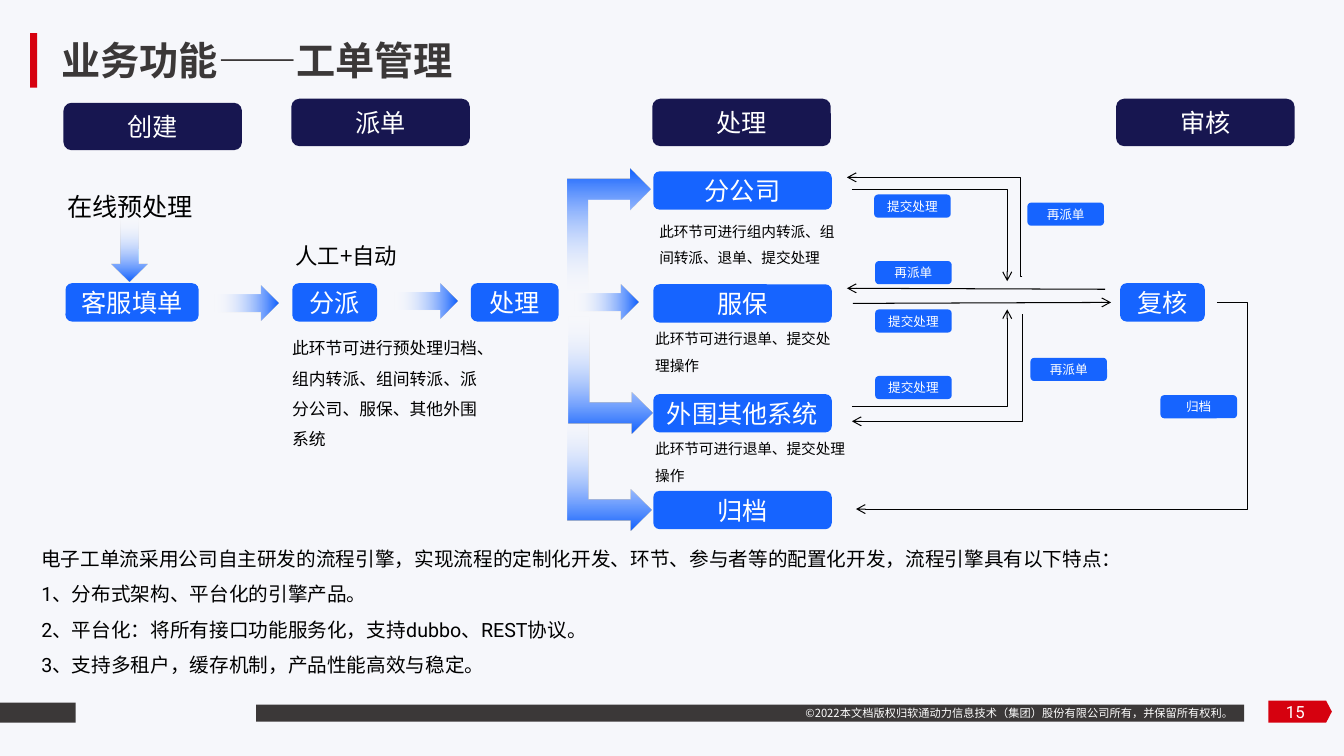
from lxml import etree
from pptx import Presentation
from pptx.dml.color import RGBColor
from pptx.enum.shapes import MSO_CONNECTOR, MSO_SHAPE
from pptx.enum.text import MSO_ANCHOR, PP_ALIGN
from pptx.oxml.ns import qn
from pptx.util import Pt

PX = 9144  # 100 px to the inch
CJK, LATIN = "Noto Sans CJK SC", "Roboto"
WHITE = RGBColor(0xFF, 0xFF, 0xFF)
BLACK = RGBColor(0, 0, 0)
PAPER = RGBColor(0xF6, 0xF7, 0xFB)
CHARCOAL = RGBColor(0x3B, 0x38, 0x38)
RED = RGBColor(0xD6, 0x01, 0x0F)
BLUE = RGBColor(0x16, 0x64, 0xFF)
NAVY = RGBColor(0x17, 0x16, 0x50)
LEFT, CENTER, RIGHT = PP_ALIGN.LEFT, PP_ALIGN.CENTER, PP_ALIGN.RIGHT
TOP, MIDDLE = MSO_ANCHOR.TOP, MSO_ANCHOR.MIDDLE
RECT, PENTAGON = MSO_SHAPE.RECTANGLE, MSO_SHAPE.PENTAGON
ROUNDED, STEP = MSO_SHAPE.ROUNDED_RECTANGLE, MSO_SHAPE.FLOWCHART_ALTERNATE_PROCESS
BLOCK_ARROW, BENT_ARROW = MSO_SHAPE.RIGHT_ARROW, MSO_SHAPE.BENT_UP_ARROW
STRAIGHT, ELBOW = MSO_CONNECTOR.STRAIGHT, MSO_CONNECTOR.ELBOW

prs = Presentation()
prs.slide_width, prs.slide_height = 1333 * PX, 750 * PX
slide = prs.slides.add_slide(prs.slide_layouts[1])
slide.background.fill.solid()
slide.background.fill.fore_color.rgb = PAPER
shapes = slide.shapes


def write(shape, lines, size, color, align=LEFT, anchor=MIDDLE,
          spacing=1.0, font=CJK, bold=False, wrap=True):
    frame = shape.text_frame
    frame.word_wrap, frame.vertical_anchor = wrap, anchor
    frame.text = "\n".join(lines)
    for paragraph in frame.paragraphs:
        paragraph.alignment, paragraph.line_spacing = align, spacing
        paragraph.space_before = Pt(0)
        run_font = paragraph.runs[0].font
        run_font.size, run_font.bold, run_font.name = Pt(size), bold, font
        run_font.color.rgb = color
        east_asian = etree.SubElement(run_font._element, qn("a:ea"))
        east_asian.set("typeface", CJK)


def block(kind, box, color):
    shape = shapes.add_shape(kind, *(v * PX for v in box))
    shape.shadow.inherit = False
    shape.fill.solid()
    shape.fill.fore_color.rgb = color
    shape.line.fill.background()
    return shape


# Footer bars and title mark
for bar in [(254, 699, 980, 17), (0, 697, 75, 20)]:
    block(RECT, bar, CHARCOAL)
block(RECT, (30, 33, 7, 54), RED)
page_tag = block(PENTAGON, (1258, 695, 63, 22), RED)
page_tag.adjustments[0] = 0.26

# Title and engine features
title, features = shapes.title, slide.placeholders[1]
for holder, box in [(title, (51, 26, 817, 66)), (features, (31, 526, 1217, 151))]:
    holder.left, holder.top, holder.width, holder.height = (v * PX for v in box)
write(title, ["业务功能——工单管理"], 28, CHARCOAL, bold=True)
write(features, [
    "电子工单流采用公司自主研发的流程引擎，实现流程的定制化开发、环节、参与者等的配置化开发，流程引擎具有以下特点：",
    "1、分布式架构、平台化的引擎产品。",
    "2、平台化：将所有接口功能服务化，支持dubbo、REST协议。",
    "3、支持多租户，缓存机制，产品性能高效与稳定。",
], 14, BLACK, anchor=TOP, spacing=1.5, font=LATIN)
for paragraph in features.text_frame.paragraphs:
    properties = paragraph._p.get_or_add_pPr()
    properties.set("marL", "0")
    properties.set("indent", "0")
    etree.SubElement(properties, qn("a:buNone"))

# Stage headings
for x, y, stage in [(63, 102, "创建"), (289, 98, "派单"), (647, 98, "处理"), (1107, 98, "审核")]:
    write(block(ROUNDED, (x, y, 177, 47), NAVY), [stage], 18, WHITE, CENTER)

# Steps (18 pt) and transition tags (9 pt)
steps = [
    (65, 281, 132, "客服填单"), (290, 281, 84, "分派"), (467, 281, 87, "处理"),
    (648, 170, 177, "分公司"), (648, 282, 177, "服保"), (648, 391, 177, "外围其他系统"),
    (648, 487, 177, "归档"), (1111, 281, 84, "复核"),
]
tags = [
    (867, 193, 76, "提交处理"), (868, 373, 76, "提交处理"), (868, 307, 76, "提交处理"),
    (1151, 392, 76, "归档"), (1019, 201, 76, "再派单"), (1022, 355, 76, "再派单"),
    (868, 259, 76, "再派单"),
]
for group, height, size in [(steps, 38, 18), (tags, 23, 9)]:
    for x, y, width, label in group:
        step = block(STEP, (x, y, width, height), BLUE)
        write(step, [label], size, WHITE, CENTER)
        frame = step.text_frame
        frame.margin_left = frame.margin_right = 7 * PX
        frame.margin_top = frame.margin_bottom = 4 * PX

# Notes, captions, copyright and page number
spaced = dict(spacing=1.5, anchor=TOP)
for box, text, size, color, style in [
    ((280, 320, 206, 131), "此环节可进行预处理归档、组内转派、组间转派、派分公司、服保、其他外围系统",
     12, BLACK, dict(spacing=1.5)),
    ((644, 207, 205, 64), "此环节可进行组内转派、组间转派、退单、提交处理", 10.5, BLACK, spaced),
    ((640, 314, 195, 64), "此环节可进行退单、提交处理操作", 10.5, BLACK, spaced),
    ((640, 423, 218, 64), "此环节可进行退单、提交处理操作", 10.5, BLACK, spaced),
    ((257, 239, 173, 30), "人工+自动", 16, BLACK, dict(align=CENTER)),
    ((53, 190, 152, 30), "在线预处理", 18, BLACK, dict(align=CENTER)),
    ((789, 696, 462, 24), "©2022本文档版权归软通动力信息技术（集团）股份有限公司所有，并保留所有权利。",
     8, WHITE, dict(anchor=TOP, wrap=False)),
    ((1004, 686, 300, 40), "15", 12, WHITE, dict(align=RIGHT, font=LATIN)),
]:
    write(shapes.add_textbox(*(v * PX for v in box)), [text], size, color, **style)

# Thin arrows between handling and review: ends, preset, bend position
for kind, ends, preset, bend in [
    (ELBOW, (845, 188, 999, 279), "bentConnector2", None),
    (ELBOW, (845, 403, 999, 307), "bentConnector2", None),
    (ELBOW, (1014, 274, 840, 176), "bentConnector3", 1200),
    (ELBOW, (1014, 312, 845, 418), "bentConnector3", 100),
    (ELBOW, (1207, 300, 849, 505), "bentConnector3", -8600),
    (STRAIGHT, (846, 301, 1102, 300), "line", None),
    (STRAIGHT, (1096, 287, 840, 286), "line", None),
]:
    route = shapes.add_connector(kind, *(v * PX for v in ends))
    route.line.color.rgb, route.line.width = BLACK, Pt(0.75)
    properties = route._element.spPr
    geometry = properties.find(qn("a:prstGeom"))
    geometry.set("prst", preset)
    if bend is not None:
        guide = etree.SubElement(geometry.find(qn("a:avLst")), qn("a:gd"))
        guide.set("name", "adj1")
        guide.set("fmla", f"val {bend}")
    etree.SubElement(route.line._get_or_add_ln(), qn("a:tailEnd")).set("type", "arrow")
    etree.SubElement(properties, qn("a:effectLst"))

# Block arrows fading in from transparent white
for kind, box, rotation, flips in [
    (BLOCK_ARROW, (213, 283, 63, 35), 0, ()),
    (BLOCK_ARROW, (391, 281, 63, 35), 0, ()),
    (BLOCK_ARROW, (570, 282, 63, 35), 0, ()),
    (BLOCK_ARROW, (97, 230, 63, 35), 90, ()),
    (BENT_ARROW, (541, 189, 126, 83), 270, ("flipV",)),
    (BENT_ARROW, (547, 427, 116, 83), 270, ("flipH", "flipV")),
    (BENT_ARROW, (548, 331, 116, 83), 270, ("flipH", "flipV")),
]:
    flow = block(kind, box, BLUE)
    flow.rotation = rotation
    for flip in flips:
        flow._element.spPr.xfrm.set(flip, "1")
    flow.fill.gradient()
    flow.fill.gradient_angle = 0
    start, end = flow.fill.gradient_stops
    start.color.rgb, end.color.rgb = WHITE, BLUE
    start.position, end.position = 0, 0.99
    white = flow._element.spPr.find(".//" + qn("a:srgbClr"))
    etree.SubElement(white, qn("a:alpha")).set("val", "0")

prs.save("out.pptx")
